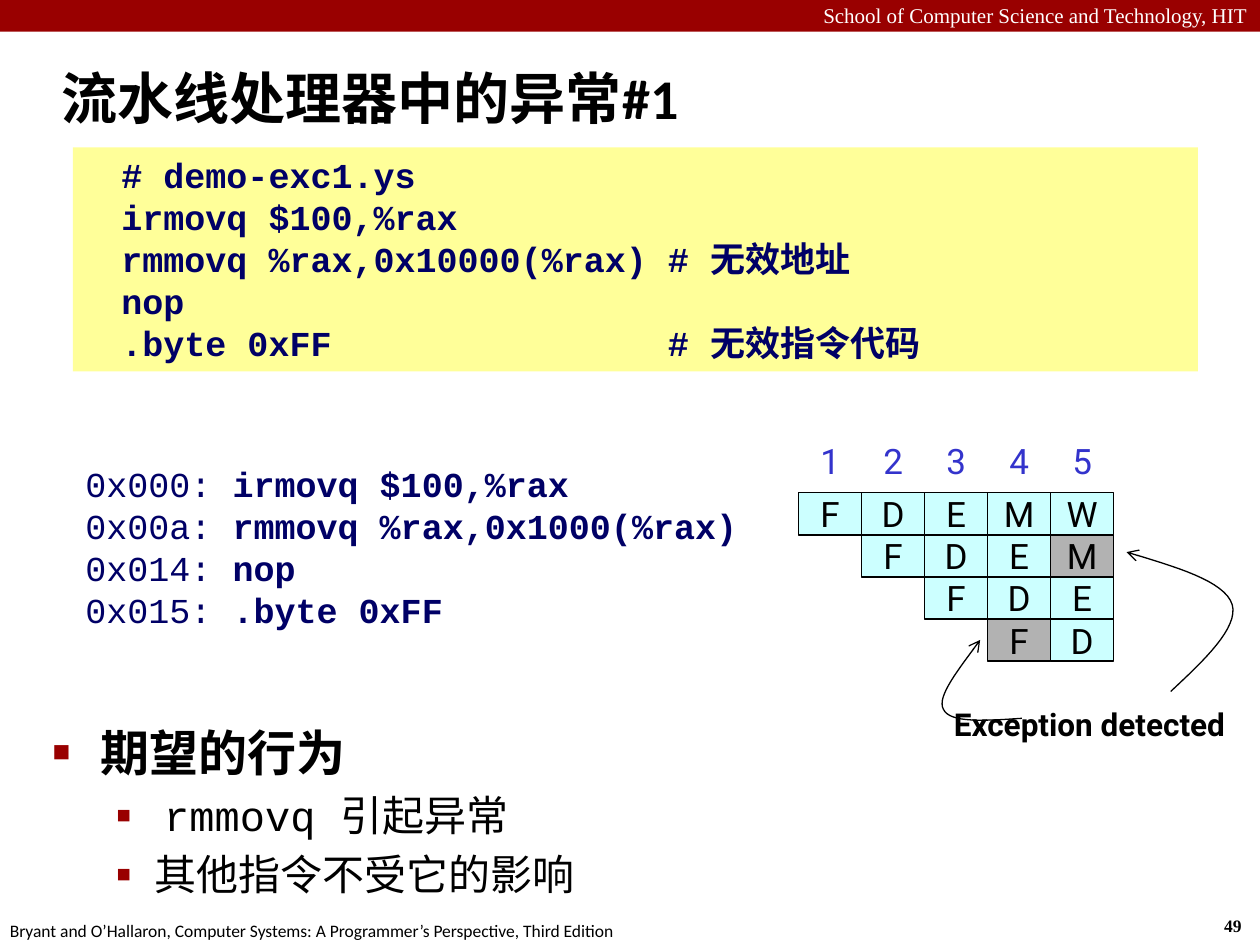
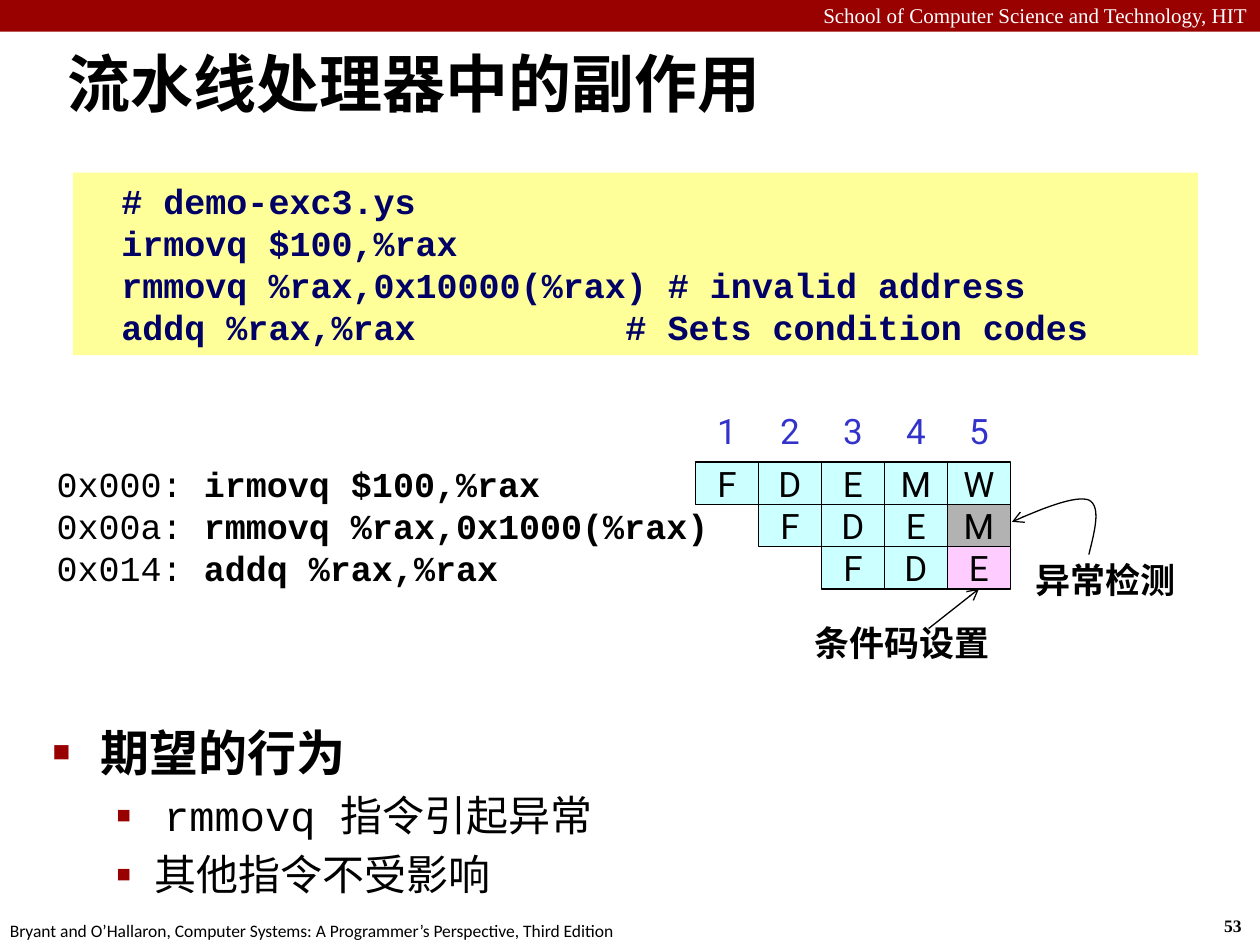
from lxml.etree import SubElement
from pptx import Presentation
from pptx.dml.color import RGBColor
from pptx.enum.shapes import MSO_CONNECTOR, MSO_SHAPE
from pptx.enum.text import MSO_ANCHOR, MSO_AUTO_SIZE, PP_ALIGN
from pptx.oxml.ns import qn
from pptx.util import Cm, Pt

BLACK = RGBColor(0x00, 0x00, 0x00)
WHITE = RGBColor(0xFF, 0xFF, 0xFF)
CRIMSON = RGBColor(0x99, 0x00, 0x00)
NAVY = RGBColor(0x00, 0x00, 0x66)
BLUE = RGBColor(0x33, 0x33, 0xCC)
YELLOW = RGBColor(0xFF, 0xFF, 0x99)
CYAN = RGBColor(0xCC, 0xFF, 0xFF)
GRAY = RGBColor(0xB2, 0xB2, 0xB2)
PINK = RGBColor(0xFF, 0xCC, 0xFF)

SANS, MONO, DIAGRAM, SERIF = "Calibri", "Courier New", "Roboto", "Times New Roman"
STAGES = "FDEMW"
CELL_WIDTH, CELL_HEIGHT = 1.27, 0.85


def write(frame, paragraphs, size=20, font=SANS, color=BLACK, bold=False,
          align=PP_ALIGN.LEFT, anchor=MSO_ANCHOR.TOP, inset=(0.25, 0.13),
          wrap=True, line_spacing=None):
    frame.auto_size = MSO_AUTO_SIZE.NONE
    frame.word_wrap = wrap
    frame.vertical_anchor = anchor
    frame.margin_left = frame.margin_right = Cm(inset[0])
    frame.margin_top = frame.margin_bottom = Cm(inset[1])
    for index, content in enumerate(paragraphs):
        paragraph = frame.paragraphs[0] if index == 0 else frame.add_paragraph()
        paragraph.alignment = align
        paragraph.space_before = Pt(0)
        if line_spacing:
            paragraph.line_spacing = line_spacing
        pieces = [(content, {})] if isinstance(content, str) else content
        for text, changes in pieces:
            run = paragraph.add_run()
            run.text = text
            run.font.size = Pt(changes.get("size", size))
            run.font.name = changes.get("font", font)
            run.font.bold = changes.get("bold", bold)
            run.font.color.rgb = color


def indent(paragraph, left, hanging):
    properties = paragraph._p.get_or_add_pPr()
    properties.set("marL", str(Cm(left)))
    properties.set("indent", str(-Cm(hanging)))
    return properties


def add_bullet(paragraph, mark, percent, left, hanging):
    properties = indent(paragraph, left, hanging)
    tint = SubElement(properties, qn("a:buClr"))
    SubElement(tint, qn("a:srgbClr"), val=str(CRIMSON))
    SubElement(properties, qn("a:buSzPct"), val=str(percent * 1000))
    SubElement(properties, qn("a:buFont"), typeface="Arial")
    SubElement(properties, qn("a:buChar"), char=mark)


def bezier(start, first, second, end, steps=16):
    for step in range(1, steps + 1):
        t = step / steps
        weights = (1 - t) ** 3, 3 * t * (1 - t) ** 2, 3 * t * t * (1 - t), t ** 3
        yield tuple(Cm(sum(w * p[axis] for w, p in zip(weights, (start, first, second, end))))
                    for axis in (0, 1))


class Deck:
    def __init__(self):
        self.presentation = Presentation()
        self.presentation.slide_width = Cm(25.4)
        self.presentation.slide_height = Cm(19.05)
        self.slide = None

    def new_slide(self, number):
        layout = self.presentation.slide_layouts[1]
        self.slide = self.presentation.slides.add_slide(layout)
        self.box("", 0, 0, 25.4, 0.64, CRIMSON)
        self.label("School of Computer Science and Technology, HIT", 0, -0.08, 25.4, 0.76,
                   size=12, font=SERIF, color=WHITE, align=PP_ALIGN.RIGHT)
        self.label(number, 24.43, 18.31, 0.94, 0.69, size=10, font=SERIF, bold=True, wrap=False)
        self.label("Bryant and O’Hallaron, Computer Systems: A Programmer’s Perspective, Third Edition",
                   -0.05, 18.42, 12.9, 0.69, size=10, wrap=False)

    def place(self, holder, left, top, width, height):
        holder.left, holder.top = Cm(left), Cm(top)
        holder.width, holder.height = Cm(width), Cm(height)
        return holder.text_frame

    def title(self, text, left, top, width, height, size):
        frame = self.place(self.slide.shapes.title, left, top, width, height)
        write(frame, [text], size=size, bold=True, anchor=MSO_ANCHOR.MIDDLE)
        indent(frame.paragraphs[0], 0.33, 0.33)

    def behaviour(self, cause, effect):
        frame = self.place(self.slide.placeholders[1], 0.81, 14.43, 23.06, 3.28)
        write(frame, [[("期望的行为", {"size": 28, "bold": True})],
                      [(" ", {}), ("rmmovq ", {"font": MONO}), (cause, {})],
                      effect], size=24)
        heading, *details = frame.paragraphs
        add_bullet(heading, "■", 60, 0.97, 0.97)
        for detail in details:
            detail.level = 1
            detail.space_before = Pt(4.8)
            add_bullet(detail, "▪", 110, 2.06, 0.79)

    def box(self, content, left, top, width, height, fill, outlined=False, **style):
        box = self.slide.shapes.add_shape(MSO_SHAPE.RECTANGLE, Cm(left), Cm(top),
                                          Cm(width), Cm(height))
        box.shadow.inherit = False
        box.fill.solid()
        box.fill.fore_color.rgb = fill
        if outlined:
            box.line.color.rgb = BLACK
            box.line.width = Pt(1)
        else:
            box.line.fill.background()
        if content:
            write(box.text_frame, content, **style)
        return box

    def label(self, text, left, top, width, height, **style):
        label = self.slide.shapes.add_textbox(Cm(left), Cm(top), Cm(width), Cm(height))
        write(label.text_frame, [text], **style)

    def callout(self, text, left, top, width, height, **style):
        self.label(text, left, top, width, height, font=DIAGRAM, bold=True,
                   inset=(0.13, 0.13), line_spacing=0.9, **style)

    def source_code(self, lines, top, height):
        self.box(lines, 1.47, top, 22.68, height, YELLOW, font=MONO, color=NAVY,
                 bold=True, inset=(0.13, 0.13))

    def listing(self, instructions, left, color):
        for row, (address, instruction) in enumerate(instructions):
            self.box([[(address + ": ", {}), (instruction, {"bold": True})]],
                     left, 9.32 + row * CELL_HEIGHT, 7.21, CELL_HEIGHT, WHITE,
                     font=MONO, color=color, anchor=MSO_ANCHOR.MIDDLE, wrap=False)

    def pipeline(self, left, top, rows, highlights):
        style = dict(font=DIAGRAM, align=PP_ALIGN.CENTER, anchor=MSO_ANCHOR.MIDDLE, wrap=False)
        cells = {}
        for column in range(len(STAGES)):
            self.box([str(column + 1)], left + column * CELL_WIDTH, top - 1.07,
                     CELL_WIDTH, CELL_HEIGHT, WHITE, color=BLUE, **style)
        for row in range(rows):
            for column in range(row, len(STAGES)):
                cells[row, column] = self.box(
                    [STAGES[column - row]], left + column * CELL_WIDTH,
                    top + row * CELL_HEIGHT, CELL_WIDTH, CELL_HEIGHT,
                    highlights.get((row, column), CYAN), outlined=True, **style)
        return cells

    def arrow_style(self, arrow):
        arrow.line.color.rgb = BLACK
        arrow.line.width = Pt(0.75)
        properties = arrow._element.spPr
        SubElement(properties.find(qn("a:ln")), qn("a:tailEnd"), type="arrow")
        if properties.find(qn("a:effectLst")) is None:
            SubElement(properties, qn("a:effectLst"))

    def curved_arrow(self, *points):
        outline = self.slide.shapes.build_freeform(*(Cm(value) for value in points[0]))
        for start in range(0, len(points) - 1, 3):
            outline.add_line_segments(bezier(*points[start:start + 4]), close=False)
        curve = outline.convert_to_shape()
        curve.shadow.inherit = False
        curve.fill.background()
        self.arrow_style(curve)

    def arrow_to(self, cell, left, top):
        arrow = self.slide.shapes.add_connector(MSO_CONNECTOR.STRAIGHT, Cm(left), Cm(top),
                                                cell.left, cell.top)
        arrow.end_connect(cell, 2)
        self.arrow_style(arrow)


def exceptions_slide(deck):
    deck.new_slide("49")
    deck.title("流水线处理器中的异常#1", 0.99, 0.91, 24.41, 2.11, 32)
    deck.behaviour("引起异常", "其他指令不受它的影响")
    deck.source_code(["  # demo-exc1.ys",
                      "  irmovq $100,%rax",
                      "  rmmovq %rax,0x10000(%rax) # 无效地址",
                      "  nop",
                      "  .byte 0xFF                # 无效指令代码"], 2.97, 4.52)
    deck.listing([("0x000", "irmovq $100,%rax"),
                  ("0x00a", "rmmovq %rax,0x1000(%rax)"),
                  ("0x014", "nop"),
                  ("0x015", ".byte 0xFF")], 1.47, NAVY)
    deck.pipeline(16.1, 9.93, 4, {(1, 4): GRAY, (3, 3): GRAY})
    deck.callout("Exception detected", 19.1, 14.17, 6.12, 0.97, size=18, wrap=False)
    deck.curved_arrow((23.6, 13.94), (24.28, 13.31), (24.97, 12.65), (24.84, 12.19),
                      (24.69, 11.71), (23.7, 11.43), (22.71, 11.13))
    deck.curved_arrow((20.6, 14.48), (19.86, 14.53), (19.15, 14.58), (19.02, 14.3),
                      (18.87, 14.05), (19.33, 13.49), (19.76, 12.9))


def side_effects_slide(deck):
    deck.new_slide("53")
    deck.title("流水线处理器中的副作用", 1.12, 0.69, 20.9, 1.93, 36)
    deck.behaviour("指令引起异常", "其他指令不受影响")
    deck.source_code(["  # demo-exc3.ys",
                      "  irmovq $100,%rax",
                      "  rmmovq %rax,0x10000(%rax) # invalid address",
                      "  addq %rax,%rax\t        # Sets condition codes"], 3.48, 3.68)
    deck.listing([("0x000", "irmovq $100,%rax"),
                  ("0x00a", "rmmovq %rax,0x1000(%rax)"),
                  ("0x014", "addq %rax,%rax")], 0.89, BLACK)
    cells = deck.pipeline(14.02, 9.32, 3, {(1, 4): GRAY, (2, 4): PINK})
    deck.callout("异常检测", 20.75, 11.23, 4.01, 1.02)
    deck.arrow_to(cells[2, 4], 18.72, 12.67)
    deck.callout("条件码设置", 16.28, 12.5, 3.81, 1.02, align=PP_ALIGN.CENTER, wrap=False)
    deck.curved_arrow((21.95, 11.18), (22.07, 10.69), (22.2, 10.21), (21.95, 10.08),
                      (21.69, 9.98), (21.03, 10.24), (20.4, 10.52))


def main():
    deck = Deck()
    exceptions_slide(deck)
    side_effects_slide(deck)
    deck.presentation.save("out.pptx")


if __name__ == "__main__":
    main()
